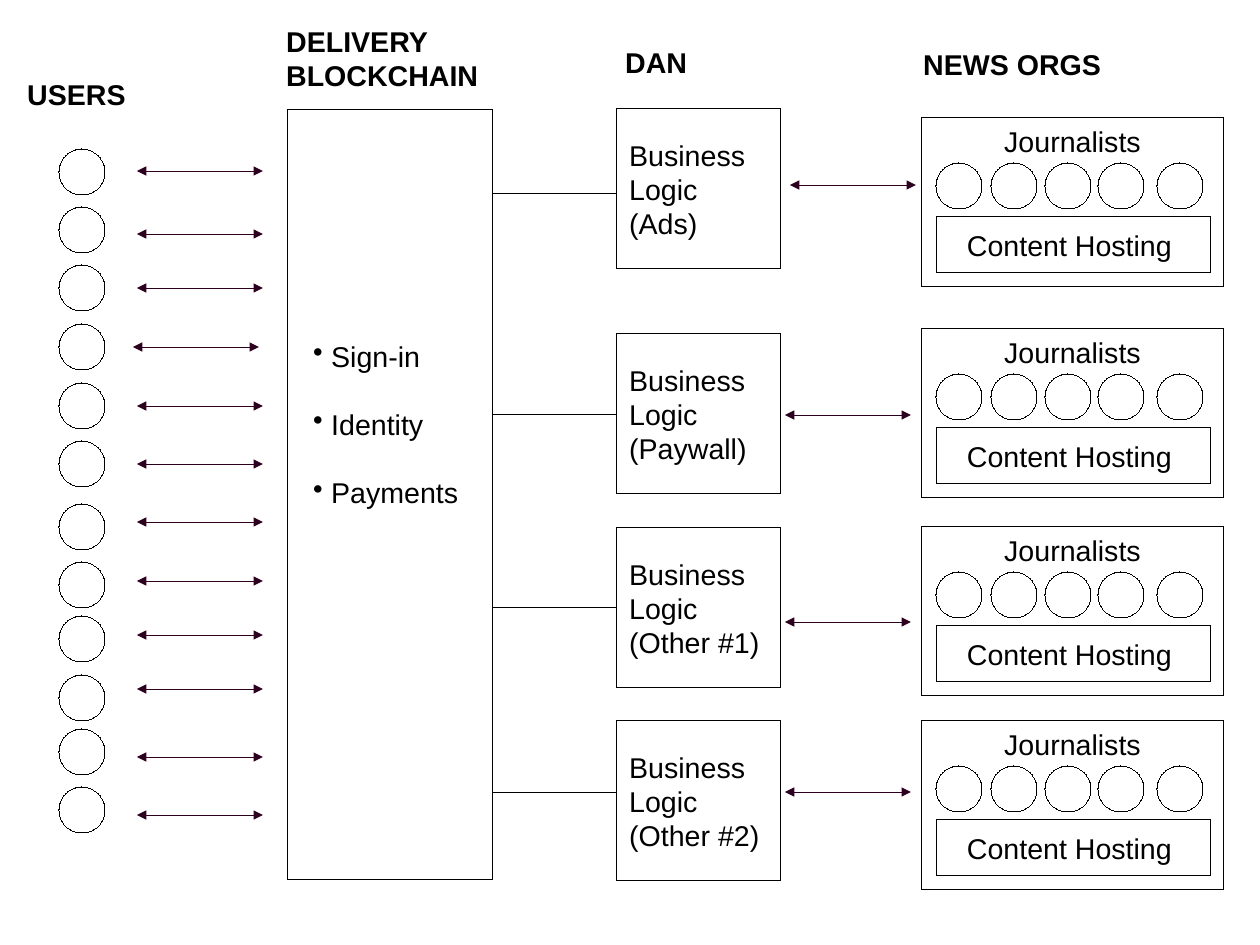
from dataclasses import dataclass

from lxml import etree
from pptx import Presentation
from pptx import util as u
from pptx.dml.color import RGBColor
from pptx.enum import shapes, text
from pptx.oxml.ns import qn

EMU_PER_PX = 8000


@dataclass(frozen=True)
class Theme:
    font: str = "Arial"
    size: u.Pt = u.Pt(18)
    bullet_gap: u.Pt = u.Pt(21.5)
    ink: RGBColor = RGBColor(0x00, 0x00, 0x00)
    paper: RGBColor = RGBColor(0xFF, 0xFF, 0xFF)
    arrow: RGBColor = RGBColor(0x2C, 0x00, 0x1E)


THEME = Theme()
RECTANGLE = shapes.MSO_SHAPE.RECTANGLE
CIRCLE = shapes.MSO_SHAPE.OVAL

DOT = 46
ARROW_LENGTH = 126
USER_TOPS = (149, 207, 265, 324, 383, 441, 504, 562, 616, 675, 729, 787)
USER_ARROW_ROWS = (171, 234, 288, 347, 406, 464, 522, 581, 635, 689, 757, 815)
SHIFTED_USER_ROW = 347
JOURNALIST_OFFSETS = (15, 70, 124, 177, 236)

HEADINGS = (
    (("DELIVERY", "BLOCKCHAIN"), (275, 18, 217, 75)),
    (("USERS",), (16, 71, 137, 50)),
    (("DAN",), (614, 39, 149, 62)),
    (("NEWS ORGS",), (912, 41, 217, 57)),
)

# service, logic box top, link row, arrow left, arrow row, newsroom top
SERVICES = (
    ("(Ads)", 109, 194, 790, 185, 118),
    ("(Paywall)", 334, 415, 785, 415, 329),
    ("(Other #1)", 528, 608, 785, 622, 527),
    ("(Other #2)", 721, 793, 785, 792, 721),
)


def px(length):
    return u.Emu(length * EMU_PER_PX)


def set_hairline(line, color):
    """Colour a line and give it an explicit width of zero."""
    line.color.rgb = color
    line._get_or_add_ln().set("w", "0")


def add_outline(container, kind, left, top, width, height):
    """Add a white preset shape with a hairline border."""
    shape = container.add_shape(kind, px(left), px(top), px(width), px(height))
    shape.shadow.inherit = False
    shape.fill.solid()
    shape.fill.fore_color.rgb = THEME.paper
    set_hairline(shape.line, THEME.ink)


def add_text(container, lines, box, bold=False, align=text.PP_ALIGN.LEFT):
    """Add a text box with one paragraph per line and return its paragraphs."""
    frame = container.add_textbox(*map(px, box)).text_frame
    frame.word_wrap = True
    frame.text = "\n".join(lines)
    for paragraph in frame.paragraphs:
        paragraph.alignment = align
        paragraph.font.name = THEME.font
        paragraph.font.size = THEME.size
        paragraph.font.bold = bold
        paragraph.font.color.rgb = THEME.ink
    return frame.paragraphs


def add_bullets(container, lines, box):
    for paragraph in add_text(container, lines, box):
        paragraph.space_after = THEME.bullet_gap
        properties = paragraph._p.get_or_add_pPr()
        properties.set("marL", str(px(18)))
        properties.set("indent", str(px(-18)))
        bullet = properties.makeelement(qn("a:buChar"), {"char": "•"})
        properties.find(qn("a:defRPr")).addprevious(bullet)


def add_line(container, left, row, length, color):
    connector = container.add_connector(
        shapes.MSO_CONNECTOR.STRAIGHT, px(left), px(row), px(left + length), px(row)
    )
    set_hairline(connector.line, color)
    etree.SubElement(connector._element.spPr, qn("a:effectLst"))
    return connector


def add_double_arrow(container, left, row):
    connector = add_line(container, left, row, ARROW_LENGTH, THEME.arrow)
    for end in ("a:headEnd", "a:tailEnd"):
        etree.SubElement(connector.line._get_or_add_ln(), qn(end), type="triangle")


def add_blockchain(container):
    add_outline(container, RECTANGLE, 288, 110, 205, 770)
    add_bullets(container, ("Sign-in", "Identity", "Payments"), (302, 333, 181, 171))


def add_users(container):
    for top in USER_TOPS:
        add_outline(container, CIRCLE, 59, top, DOT, DOT)
    for row in USER_ARROW_ROWS:
        add_double_arrow(container, 133 if row == SHIFTED_USER_ROW else 137, row)


def add_logic_box(container, service, top):
    group = container.add_group_shape().shapes
    add_outline(group, RECTANGLE, 616, top, 165, 160)
    add_text(group, ("Business Logic", service), (618, top + 23, 162, 107))


def add_newsroom(container, top, left=921):
    group = container.add_group_shape().shapes
    center = text.PP_ALIGN.CENTER
    add_outline(group, RECTANGLE, left, top, 303, 169)
    add_text(group, ("Journalists",), (left, top, 303, 43), align=center)
    for offset in JOURNALIST_OFFSETS:
        add_outline(group, CIRCLE, left + offset, top + 45, DOT, DOT)
    add_outline(group, RECTANGLE, left + 16, top + 98, 274, 57)
    add_text(group, ("Content Hosting",), (left + 17, top + 104, 263, 43), align=center)


def main():
    presentation = Presentation()
    presentation.slide_width = px(1260)
    presentation.slide_height = px(945)
    slide = presentation.slides.add_slide(presentation.slide_layouts[6])
    container = slide.shapes

    for _, _, link_row, _, _, _ in SERVICES:
        add_line(container, 457, link_row, 183, THEME.ink)
    add_blockchain(container)
    for lines, box in HEADINGS:
        add_text(container, lines, box, bold=True)
    add_users(container)
    for service, logic_top, _, arrow_left, arrow_row, newsroom_top in SERVICES:
        add_logic_box(container, service, logic_top)
        add_newsroom(container, newsroom_top)
        add_double_arrow(container, arrow_left, arrow_row)

    presentation.save("out.pptx")


if __name__ == "__main__":
    main()
